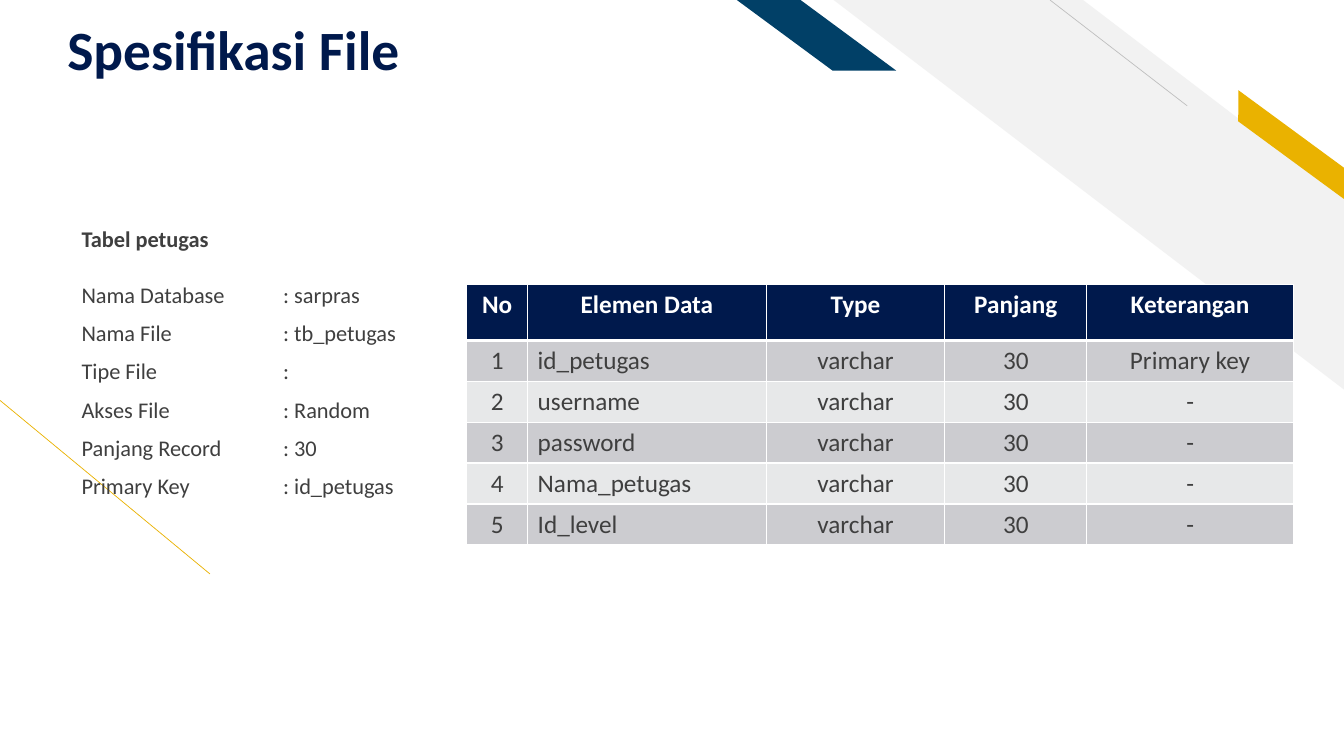
from dataclasses import dataclass
from lxml.etree import SubElement
from pptx import Presentation
from pptx.dml.color import RGBColor
from pptx.enum.shapes import MSO_CONNECTOR as Connector, MSO_SHAPE as Shape
from pptx.enum.text import MSO_ANCHOR as Anchor, PP_ALIGN as Align
from pptx.oxml.ns import qn
from pptx.util import Pt


@dataclass(frozen=True)
class Theme:
    navy: str = "00194C"
    teal: str = "014067"
    gold: str = "EAB200"
    pale: str = "F2F2F2"
    rule: str = "BFBFBF"
    ink: str = "3F3F3F"
    white: str = "FFFFFF"
    bands: tuple = ("CCCCD0", "E7E8E9")
    font: str = "Calibri"
    title_size: float = 39.6
    table_size: int = 18
    body_size: int = 16


THEME = Theme()
DETAILS = [
    ("Nama Database", ": sarpras"),
    ("Nama File", ": tb_petugas"),
    ("Tipe File", ":"),
    ("Akses File", ": Random"),
    ("Panjang Record", ": 30"),
    ("Primary Key", ": id_petugas"),
]
HEADINGS = ("No", "Elemen Data", "Type", "Panjang", "Keterangan")
FIELDS = ("id_petugas", "username", "password", "Nama_petugas", "Id_level")
COLUMN_WIDTHS = (43.5, 170.5, 127.5, 101.5, 147.5)
HEADER_HEIGHT, ROW_HEIGHT = 40, 29.2


def color(value):
    return RGBColor.from_string(value)


def write(para, text, size, ink, bold=False):
    span = para.add_run()
    span.text = text
    for name, value in dict(name=THEME.font, size=Pt(size), bold=bold).items():
        setattr(span.font, name, value)
    span.font.color.rgb = color(ink)


def add_frame(page, box, **settings):
    frame = page.shapes.add_textbox(*map(Pt, box)).text_frame
    for name, value in {"word_wrap": True, **settings}.items():
        setattr(frame, name, value)
    return frame


def add_stripe(page, kind, box, fill, slant, turn=0):
    """Add a filled diagonal shape, mirrored left to right."""
    stripe = page.shapes.add_shape(kind, *map(Pt, box))
    stripe.adjustments[0] = slant
    stripe.rotation = turn
    stripe.shadow.inherit = False
    stripe.fill.solid()
    stripe.fill.fore_color.rgb = color(fill)
    stripe.line.fill.background()
    stripe.element.spPr.find(qn("a:xfrm")).set("flipH", "1")


def add_hairline(page, start, end, ink):
    line = page.shapes.add_connector(Connector.STRAIGHT, *map(Pt, start + end))
    line.line.color.rgb = color(ink)
    line.line.width = Pt(0.5)
    SubElement(line.element.spPr, qn("a:effectLst"))


def add_decoration(page, width):
    """Place the corner stripes and hairlines."""
    add_hairline(page, (150, 410), (0, 286), THEME.gold)
    add_stripe(page, Shape.DIAGONAL_STRIPE, (width - 364.5, 0, 365, 278.6), THEME.pale, 0.512)
    add_hairline(page, (848, 75.6), (750, 0), THEME.rule)
    add_stripe(page, Shape.PARALLELOGRAM, (width - 91, 94.3, 106.6, 18), THEME.gold, 0.72, 36.3)
    add_stripe(page, Shape.PARALLELOGRAM, (526.3, 0, 113.8, 50.4), THEME.teal, 1.356)


def add_title(page, box):
    frame = add_frame(page, box, vertical_anchor=Anchor.BOTTOM, margin_bottom=0)
    para = frame.paragraphs[0]
    para.line_spacing = 0.9
    write(para, "Spesifikasi File", THEME.title_size, THEME.navy, True)


def add_details(page, box):
    """Place the subheading, with the label and value lines below it."""
    left, top, width, height = box
    heading = add_frame(page, (left, top, 204, 27))
    write(heading.paragraphs[0], "Tabel petugas", THEME.body_size, THEME.ink, True)
    frame = add_frame(page, (left, top + 42.2, width, height - 42.2))
    for index, pair in enumerate(DETAILS):
        para = frame.add_paragraph() if index else frame.paragraphs[0]
        para.line_spacing, para.space_before = 0.9, Pt(10)
        write(para, "\t".join(pair), THEME.body_size, THEME.ink)
        tabs = SubElement(para._p.get_or_add_pPr(), qn("a:tabLst"))
        SubElement(tabs, qn("a:tab"), pos=str(Pt(144)), algn="l")


def fill_cell(cell, text, fill, ink, align, bold, bottom_width):
    properties = cell._tc.get_or_add_tcPr()
    for side, width in zip(("lnL", "lnR", "lnT", "lnB"), (1, 1, 1, bottom_width)):
        border = SubElement(properties, qn(f"a:{side}"), w=str(Pt(width)))
        SubElement(SubElement(border, qn("a:solidFill")), qn("a:srgbClr"), val=THEME.white)
    cell.fill.solid()
    cell.fill.fore_color.rgb = color(fill)
    para = cell.text_frame.paragraphs[0]
    para.alignment = align
    write(para, text, THEME.table_size, ink, bold)


def add_field_table(page, left, top):
    rows = [HEADINGS]
    for number, field in enumerate(FIELDS, 1):
        note = "Primary key" if number == 1 else "-"
        rows.append((str(number), field, "varchar", "30", note))
    box = (left, top, sum(COLUMN_WIDTHS), HEADER_HEIGHT + ROW_HEIGHT * len(FIELDS))
    table = page.shapes.add_table(len(rows), len(HEADINGS), *map(Pt, box)).table
    for column, width in zip(table.columns, COLUMN_WIDTHS):
        column.width = Pt(width)
    for r, texts in enumerate(rows):
        header = r == 0
        table.rows[r].height = Pt(HEADER_HEIGHT if header else ROW_HEIGHT)
        fill = THEME.navy if header else THEME.bands[(r - 1) % 2]
        ink = THEME.white if header else THEME.ink
        for c, text in enumerate(texts):
            align = Align.LEFT if c == 1 and not header else Align.CENTER
            fill_cell(table.cell(r, c), text, fill, ink, align, header, 3 if header else 1)


def main():
    deck = Presentation()
    deck.slide_width, deck.slide_height = Pt(960), Pt(540)
    page = deck.slides.add_slide(deck.slide_layouts[6])
    add_decoration(page, 960)
    add_title(page, (41, 9.4, 656, 49.7))
    add_details(page, (51.2, 157.3, 332, 262))
    add_field_table(page, 333.4, 203.2)
    deck.save("out.pptx")


if __name__ == "__main__":
    main()
